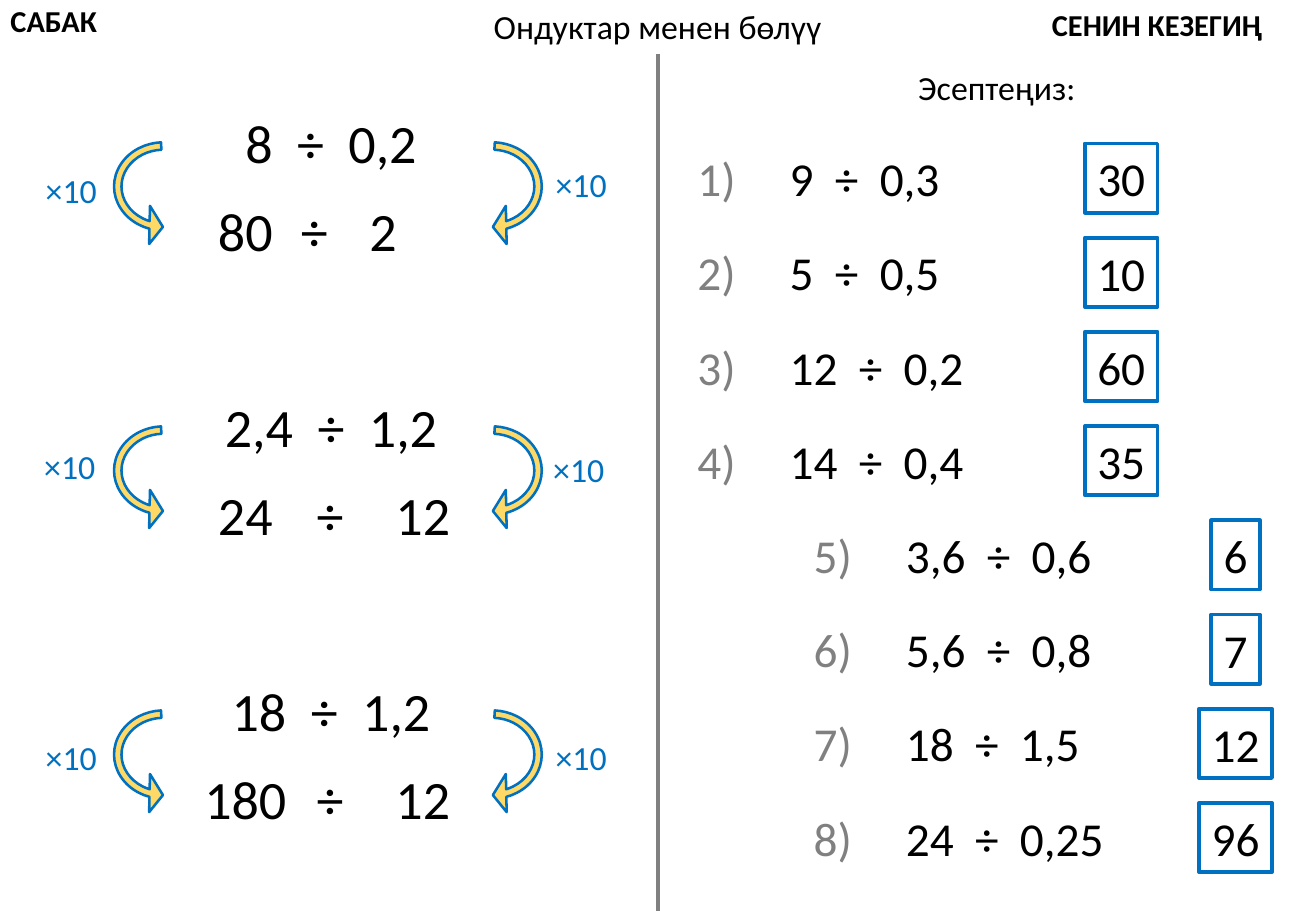
from dataclasses import dataclass
from typing import Any

import lxml.etree
import pptx
import pptx.dml.color
import pptx.enum.shapes
import pptx.enum.text
import pptx.oxml.ns
import pptx.util

Cm = pptx.util.Cm
Pt = pptx.util.Pt
RGB = pptx.dml.color.RGBColor
qn = pptx.oxml.ns.qn
ALIGN = pptx.enum.text.PP_ALIGN
SHAPE = pptx.enum.shapes.MSO_SHAPE


@dataclass(frozen=True)
class Theme:
    font: str = "Calibri"
    ink: RGB = RGB(0x00, 0x00, 0x00)
    grey: RGB = RGB(0x80, 0x80, 0x80)
    blue: RGB = RGB(0x00, 0x70, 0xC0)
    gold: RGB = RGB(0xFF, 0xD9, 0x66)
    white: RGB = RGB(0xFF, 0xFF, 0xFF)
    corner_size: int = 18
    heading_size: int = 20
    exercise_size: int = 28
    example_size: int = 32
    rule_width: float = 2.25
    arrow_width: float = 1.5


THEME = Theme()


@dataclass(frozen=True)
class Run:
    text: str
    size: int
    color: RGB = THEME.ink
    bold: bool = False
    spacing: float = 0


@dataclass(frozen=True)
class Box:
    left: float
    top: float
    width: float
    height: float

    def emu(self) -> tuple[int, ...]:
        return tuple(Cm(v) for v in (self.left, self.top, self.width, self.height))


@dataclass(frozen=True)
class Factor:
    center: float
    drop: float


@dataclass(frozen=True)
class Example:
    dividend: str
    divisor: str
    scaled_dividend: str
    scaled_divisor: str
    sign_center: float
    divisor_center: float
    factors: tuple[Factor, Factor]


@dataclass(frozen=True)
class Exercise:
    dividend: str
    divisor: str
    answer: str


EXAMPLES = [
    Example("8", "0,2", "80", "2", 6.57, 8.01, (Factor(1.49, 1.27), Factor(12.15, 1.14))),
    Example("2,4", "1,2", "24", "12", 6.9, 8.84, (Factor(1.46, 1.09), Factor(12.1, 1.17))),
    Example("18", "1,2", "180", "12", 6.9, 8.84, (Factor(1.49, 1.24), Factor(12.15, 1.24))),
]
EXERCISES = [
    Exercise("9", "0,3", "30"), Exercise("5", "0,5", "10"),
    Exercise("12", "0,2", "60"), Exercise("14", "0,4", "35"),
    Exercise("3,6", "0,6", "6"), Exercise("5,6", "0,8", "7"),
    Exercise("18", "1,5", "12"), Exercise("24", "0,25", "96"),
]
EXAMPLE_TOP, EXAMPLE_PITCH, SCALED_DROP = 2.16, 5.94, 1.85
EXERCISE_TOP, EXERCISE_PITCH, EXPRESSION_TAB = 3.0, 1.97, 1.93
SPACE_EM = 0.226
ARROW_ADJUSTMENTS = (0.062, 11.423, 203.847, 110.164, 0.16)


def division(dividend: str, divisor: str, size: int) -> list[Run]:
    """Sets a division whose sign stands one extra space width away from both numbers."""
    return [Run(dividend, size), Run(" ÷", size, spacing=SPACE_EM * size), Run(f" {divisor}", size)]


def write_runs(frame: Any, runs: list[Run], align: Any, tab: float = 0) -> None:
    frame.word_wrap = align == ALIGN.LEFT
    paragraph = frame.paragraphs[0]
    paragraph.alignment = align
    if tab:
        tabs = lxml.etree.SubElement(paragraph._p.get_or_add_pPr(), qn("a:tabLst"))
        lxml.etree.SubElement(tabs, qn("a:tab"), pos=str(Cm(tab)), algn="l")
    for part in runs:
        run = paragraph.add_run()
        run.text = part.text
        run.font.name = THEME.font
        run.font.size = Pt(part.size)
        run.font.bold = part.bold
        run.font.color.rgb = part.color
        if part.spacing:
            run.font._element.set("spc", str(round(part.spacing * 100)))


def add_text(shapes: Any, box: Box, runs: list[Run], align: Any = ALIGN.CENTER, tab: float = 0) -> None:
    frame = shapes.add_textbox(*box.emu()).text_frame
    write_runs(frame, runs, align, tab)
    frame.auto_size = pptx.enum.text.MSO_AUTO_SIZE.SHAPE_TO_FIT_TEXT


def add_centered(shapes: Any, center: float, top: float, width: float, height: float, runs: list[Run]) -> None:
    add_text(shapes, Box(center - width / 2, top, width, height), runs)


def add_outlined(shapes: Any, kind: Any, box: Box, fill: RGB, line_width: float) -> Any:
    shape = shapes.add_shape(kind, *box.emu())
    shape.shadow.inherit = False
    shape.fill.solid()
    shape.fill.fore_color.rgb = fill
    shape.line.color.rgb = THEME.blue
    shape.line.width = Pt(line_width)
    return shape


def add_arrow(shapes: Any, left: float, top: float, mirrored: bool) -> None:
    arrow = add_outlined(shapes, SHAPE.CIRCULAR_ARROW, Box(left, top, 2.49, 2.72), THEME.gold, THEME.arrow_width)
    for index, value in enumerate(ARROW_ADJUSTMENTS):
        arrow.adjustments[index] = value
    arrow.rotation = 90
    if mirrored:
        arrow.element.spPr.find(qn("a:xfrm")).set("flipV", "1")


def add_example(slide: Any, example: Example, top: float) -> None:
    shapes = slide.shapes.add_group_shape().shapes
    size = THEME.example_size
    add_centered(shapes, 6.92, top, 5, 1.63, division(example.dividend, example.divisor, size))
    scaled = [
        (example.scaled_dividend, 5.13, 2.26),
        ("÷", example.sign_center, 1.09),
        (example.scaled_divisor, example.divisor_center, 1.68),
    ]
    for text, center, width in scaled:
        add_centered(shapes, center, top + SCALED_DROP, width, 1.63, [Run(text, size)])
    for factor, arrow_left, mirrored in zip(example.factors, (2.18, 9.04), (True, False)):
        add_arrow(shapes, arrow_left, top + 0.38, mirrored)
        add_centered(shapes, factor.center, top + factor.drop, 1.6, 1.12,
                     [Run("×10", THEME.heading_size, THEME.blue)])


def add_exercise(slide: Any, number: int, exercise: Exercise) -> None:
    top = EXERCISE_TOP + (number - 1) * EXERCISE_PITCH
    left, answer_center = (14.33, 23.44) if number <= 4 else (16.76, 25.83)
    size = THEME.exercise_size
    runs = [Run(f"{number})\t", size, THEME.grey), *division(exercise.dividend, exercise.divisor, size)]
    add_text(slide.shapes, Box(left, top, 6.65, 1.45), runs, ALIGN.LEFT, EXPRESSION_TAB)
    width = 0.52 + 0.5 * len(exercise.answer)
    box = Box(answer_center - width / 2, top, width, 1.45)
    answer = add_outlined(slide.shapes, SHAPE.RECTANGLE, box, THEME.white, THEME.rule_width)
    write_runs(answer.text_frame, [Run(exercise.answer, size)], ALIGN.CENTER)


def add_divider(slide: Any) -> None:
    divider = slide.shapes.add_connector(
        pptx.enum.shapes.MSO_CONNECTOR.STRAIGHT, Cm(13.75), Cm(1.12), Cm(13.75), Cm(19.05))
    divider.line.color.rgb = THEME.grey
    divider.line.width = Pt(THEME.rule_width)
    lxml.etree.SubElement(divider.element.spPr, qn("a:effectLst"))


def main() -> None:
    presentation = pptx.Presentation()
    presentation.slide_width, presentation.slide_height = Cm(27.51), Cm(19.05)
    slide = presentation.slides.add_slide(presentation.slide_layouts[6])
    add_divider(slide)
    headings = [("Ондуктар менен бөлүү", Box(10.03, 0, 7.44, 1.12)), ("Эсептеңиз:", Box(18.92, 1.27, 3.84, 1.12))]
    for text, box in headings:
        add_text(slide.shapes, box, [Run(text, THEME.heading_size)])
    corners = [("САБАК", Box(-0.03, -0.08, 2.57, 1.02)), ("СЕНИН КЕЗЕГИҢ", Box(21.74, 0, 5.77, 1.02))]
    for text, box in corners:
        add_text(slide.shapes, box, [Run(text, THEME.corner_size, bold=True)], ALIGN.LEFT)
    for index, example in enumerate(EXAMPLES):
        add_example(slide, example, EXAMPLE_TOP + index * EXAMPLE_PITCH)
    for number, exercise in enumerate(EXERCISES, start=1):
        add_exercise(slide, number, exercise)
    presentation.save("out.pptx")


if __name__ == "__main__":
    main()
